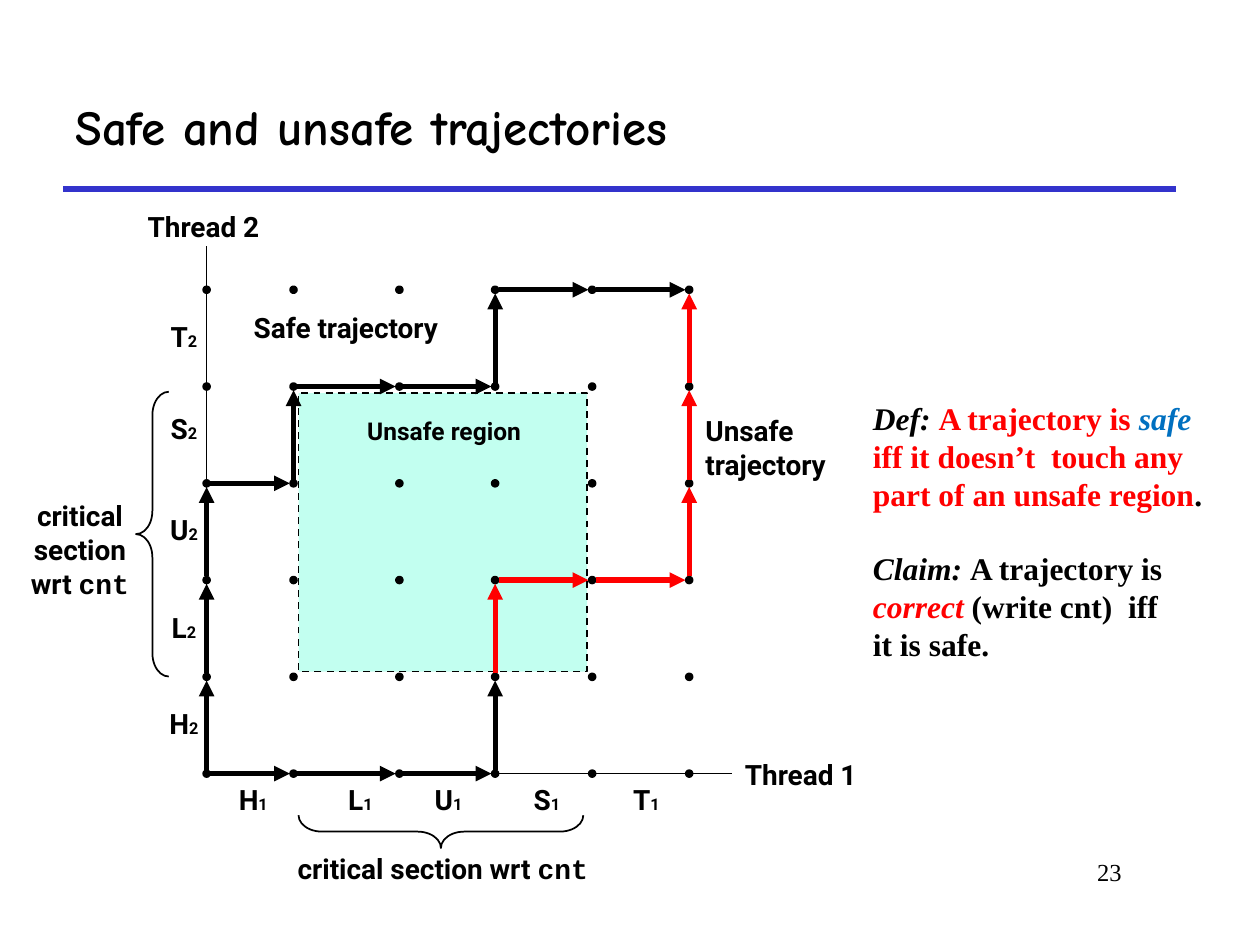
from itertools import pairwise

from lxml import etree
from pptx import Presentation
from pptx.dml.color import RGBColor
from pptx.enum import dml, shapes, text
from pptx.oxml.ns import qn
from pptx.util import Inches, Pt

BLACK = RGBColor(0x00, 0x00, 0x00)
RED = RGBColor(0xFF, 0x00, 0x00)
BLUE = RGBColor(0x00, 0x70, 0xC0)
RULE_BLUE = RGBColor(0x33, 0x33, 0xCC)
MINT = RGBColor(0xC2, 0xFF, 0xF0)

LABEL_FONT = "Roboto"
BODY_FONT = "Times New Roman"
CODE_FONT = "Courier New"
LEFT, CENTER, RIGHT = text.PP_ALIGN.LEFT, text.PP_ALIGN.CENTER, text.PP_ALIGN.RIGHT
MIDDLE, TOP = text.MSO_ANCHOR.MIDDLE, text.MSO_ANCHOR.TOP

COLUMNS = (0, 0.69, 1.53, 2.29, 3.06, 3.83)
SAFE_PATH = [(0, 5), (0, 4), (0, 3), (0, 2), (1, 2), (1, 1),
             (2, 1), (3, 1), (3, 0), (4, 0), (5, 0)]
ENTRY_PATH = [(0, 5), (1, 5), (2, 5), (3, 5), (3, 4)]
UNSAFE_PATH = [(3, 4), (3, 3), (4, 3), (5, 3), (5, 2), (5, 1), (5, 0)]


def add_text(slide, box, paragraphs, size=16, font=LABEL_FONT, bold=True,
             align=CENTER, anchor=MIDDLE, wrap=False, inset=0.05, gaps=None):
    """Write paragraphs, each a list of (text, overrides) runs, in a text box."""
    shape = slide.shapes.add_textbox(*map(Inches, box))
    frame = shape.text_frame
    frame.word_wrap = wrap
    frame.vertical_anchor = anchor
    frame.margin_top = frame.margin_bottom = Inches(inset)
    for index, runs in enumerate(paragraphs):
        paragraph = frame.add_paragraph() if index else frame.paragraphs[0]
        paragraph.alignment = align
        if gaps and index in gaps:
            paragraph.space_before = Pt(gaps[index])
        for content, overrides in runs:
            run = paragraph.add_run()
            run.text = content
            run.font.size = Pt(size)
            run.font.bold = bold
            run.font.name = overrides.get("font", font)
            run.font.italic = overrides.get("italic", False)
            run.font.color.rgb = overrides.get("color", BLACK)
            if "baseline" in overrides:
                run._r.get_or_add_rPr().set("baseline", str(overrides["baseline"]))
    return shape


def add_line(slide, start, end, color=BLACK, width=1, arrow=False):
    """Draw a straight line, with an arrowhead at its end if asked."""
    line = slide.shapes.add_connector(
        shapes.MSO_CONNECTOR.STRAIGHT, *map(Inches, (*start, *end)))
    line.line.color.rgb = color
    line.line.width = Pt(width)
    if arrow:
        etree.SubElement(line.line._get_or_add_ln(), qn("a:tailEnd"), type="triangle")
    etree.SubElement(line._element.spPr, qn("a:effectLst"))


def add_shape(slide, kind, box, fill=None, width=1):
    """Add a black-outlined preset shape without a shadow."""
    shape = slide.shapes.add_shape(kind, *map(Inches, box))
    shape.shadow.inherit = False
    if fill is None:
        shape.fill.background()
    else:
        shape.fill.solid()
        shape.fill.fore_color.rgb = fill
    shape.line.color.rgb = BLACK
    shape.line.width = Pt(width)
    return shape


def add_brace(slide, box, rotation=0):
    """Add a left brace, turned by the given angle."""
    brace = add_shape(slide, shapes.MSO_SHAPE.LEFT_BRACE, box)
    brace.adjustments[0] = 0.715
    brace.rotation = rotation


def add_path(slide, nodes, color):
    """Draw one arrow for each step between neighbouring grid points."""
    gap = 0.03
    for (x1, y1), (x2, y2) in pairwise(nodes):
        length = abs(x2 - x1) + abs(y2 - y1)
        dx, dy = gap * (x2 - x1) / length, gap * (y2 - y1) / length
        add_line(slide, (x1 + dx, y1 + dy), (x2 - dx, y2 - dy), color, 3, arrow=True)


def add_header(slide, box):
    """Place the title and the rule at the foot of the box."""
    left, top, width, height = box
    add_line(slide, (left, top + height), (left + width, top + height), RULE_BLUE, 3)
    add_text(slide, box, [[("Safe and unsafe trajectories", {})]],
             size=28, font="Comic Neue", align=LEFT, wrap=True)


def add_axes(slide, box):
    """Draw the two thread axes with their step labels."""
    left, top, width, height = box
    bottom = top + height
    add_line(slide, (left, bottom), (left + width + 0.34, bottom))
    add_line(slide, (left, bottom), (left, top - 0.35))
    label_width, label_height = 0.44, 0.37
    across = zip("HLUST", (0.37, 1.22, 1.92, 2.7, 3.49))
    upward = zip("HLUST", (3.44, 2.68, 1.9, 1.1, 0.37))
    spots = [(letter, "1", left + x, bottom + 0.2) for letter, x in across]
    spots += [(letter, "2", left - 0.18, top + y) for letter, y in upward]
    for letter, thread, x, y in spots:
        label_box = (x - label_width / 2, y - label_height / 2, label_width, label_height)
        add_text(slide, label_box, [[(letter, {}), (thread, {"baseline": -25})]])
    add_text(slide, (left + width + 0.32, bottom - 0.18, 1.13, 0.37), [[("Thread 1", {})]])
    add_text(slide, (left - 0.59, top - 0.69, 1.13, 0.37), [[("Thread 2", {})]])


def add_critical_sections(slide, box):
    """Add the braces and captions beside and below the grid."""
    left, top, width, height = box
    caption = [[("critical section wrt ", {}), ("cnt", {"font": CODE_FONT})]]
    add_brace(slide, (left - 0.56, top + 0.81, 0.26, 2.26))
    add_text(slide, (left - 1.52, top + 1.61, 1.03, 0.9), caption, wrap=True)
    add_brace(slide, (left + 1.73, top + height - 0.67, 0.26, 2.26), rotation=270)
    add_text(slide, (left + 0.56, top + height + 0.57, 2.63, 0.37), caption)


def add_progress_graph(slide, box):
    """Draw the progress graph whose grid of points fills the box."""
    left, top, width, height = box
    xs = [left + offset for offset in COLUMNS]
    ys = [top + height / 5 * row for row in range(6)]
    region = add_shape(slide, shapes.MSO_SHAPE.RECTANGLE,
                       (left + 0.73, top + 0.82, 2.29, 2.21), MINT)
    region.line.dash_style = dml.MSO_LINE.DASH
    add_axes(slide, box)
    dot = 0.04
    for x in xs:
        for y in ys:
            add_shape(slide, shapes.MSO_SHAPE.OVAL,
                      (x - dot / 2, y - dot / 2, dot, dot), BLACK, width=2)
    add_text(slide, (left + 1.14, top + 0.95, 1.49, 0.33),
             [[("Unsafe region", {})]], size=14)
    for path, color in ((SAFE_PATH, BLACK), (ENTRY_PATH, BLACK), (UNSAFE_PATH, RED)):
        add_path(slide, [(xs[column], ys[row]) for column, row in path], color)
    add_text(slide, (left + width + 0.03, top + 0.93, 1.21, 0.64),
             [[("Unsafe", {})], [("trajectory", {})]], align=LEFT)
    add_text(slide, (left + 0.23, top + 0.11, 1.75, 0.37), [[("Safe trajectory", {})]])
    add_critical_sections(slide, box)


def add_definitions(slide, box):
    """Write the definition and the claim."""
    red, italic = {"color": RED}, {"italic": True}
    paragraphs = [
        [("Def: ", italic), ("A trajectory is ", red),
         ("safe", {"color": BLUE, "italic": True})],
        [("iff it doesn’t  touch any", red)],
        [("part of an unsafe region", red), (".", {})],
        [("Claim: ", italic), ("A trajectory is", {})],
        [("correct", {"color": RED, "italic": True}), (" (write cnt)  iff", {})],
        [("it is safe.", {})],
    ]
    add_text(slide, box, paragraphs, size=18, font=BODY_FONT, align=LEFT,
             inset=0, gaps={3: 21})


def add_page_number(slide, box):
    """Write the page number."""
    add_text(slide, box, [[("23", {})]], size=14, font=BODY_FONT, bold=False,
             align=RIGHT, anchor=TOP, wrap=True)


def main():
    """Build the slide and save it."""
    presentation = Presentation()
    presentation.slide_width, presentation.slide_height = Inches(10), Inches(7.5)
    slide = presentation.slides.add_slide(presentation.slide_layouts[6])
    add_header(slide, (0.5, 0.5, 8.83, 1))
    add_page_number(slide, (7.58, 6.75, 1.42, 0.5))
    add_definitions(slide, (6.83, 2.5, 3, 3.43))
    add_progress_graph(slide, (1.64, 2.3, 3.83, 3.84))
    presentation.save("out.pptx")


if __name__ == "__main__":
    main()
